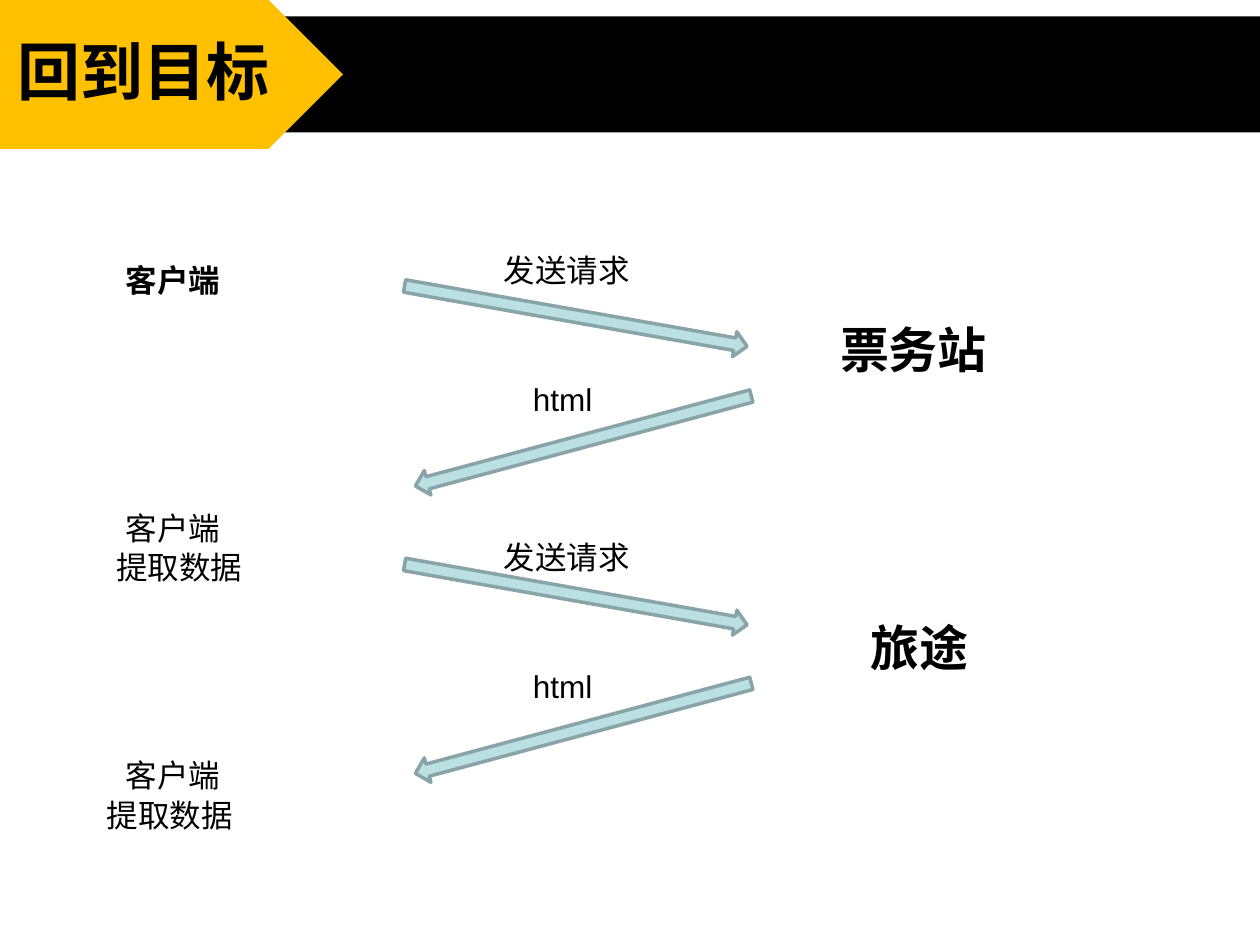
from dataclasses import dataclass

from lxml.etree import SubElement
from pptx import Presentation
from pptx.dml.color import RGBColor
from pptx.enum.lang import MSO_LANGUAGE_ID
from pptx.enum.shapes import MSO_SHAPE
from pptx.enum.text import MSO_AUTO_SIZE
from pptx.oxml.ns import qn
from pptx.util import Pt

CJK_FONT = "Noto Sans CJK SC"
BLACK, AMBER, AQUA, SLATE = "000000", "FFC000", "BBE0E3", "89A4A7"


@dataclass
class Label:
    text: str
    left: float
    top: float
    width: float
    height: float = 29
    size: float = 18
    bold: bool = False
    font: str = "Arial"


@dataclass
class Block:
    kind: MSO_SHAPE
    left: float
    top: float
    width: float
    height: float
    fill: str
    line: str = ""
    rotation: float = 0


def color(value: str) -> RGBColor:
    return RGBColor.from_string(value)


def add_block(slide, block: Block) -> None:
    sp = slide.shapes.add_shape(block.kind, Pt(block.left), Pt(block.top),
                                Pt(block.width), Pt(block.height))
    sp.shadow.inherit = False
    sp.rotation = block.rotation
    sp.fill.solid()
    sp.fill.fore_color.rgb = color(block.fill)
    if block.line:
        sp.line.color.rgb = color(block.line)
        sp.line.width = Pt(2)
    else:
        sp.line.fill.background()


def add_label(slide, label: Label) -> None:
    sp = slide.shapes.add_textbox(Pt(label.left), Pt(label.top),
                                  Pt(label.width), Pt(label.height))
    tf = sp.text_frame
    tf.word_wrap = True
    tf.auto_size = MSO_AUTO_SIZE.SHAPE_TO_FIT_TEXT
    p = tf.paragraphs[0]
    r = p.add_run()
    r.text = label.text
    r.font.name = label.font
    r.font.size = Pt(label.size)
    r.font.bold = label.bold
    r.font.color.rgb = color(BLACK)
    r.font.language_id = MSO_LANGUAGE_ID.SIMPLIFIED_CHINESE
    SubElement(r.font._element, qn("a:ea"), typeface=CJK_FONT)


def add_exchange(slide, request_top: float, reply_top: float, label_top: float) -> None:
    for left, top, rotation in ((229.7, request_top, 10), (234, reply_top, 165)):
        add_block(slide, Block(MSO_SHAPE.RIGHT_ARROW, left, top, 198.7, 14.4,
                               AQUA, SLATE, rotation))
    add_label(slide, Label("发送请求", 280.8, label_top, 89.3))
    add_label(slide, Label("html", 297.4, label_top + 73.8, 58.3))


BANNER = [
    Block(MSO_SHAPE.RECTANGLE, 127.4, 9.4, 592.6, 66.2, BLACK),
    Block(MSO_SHAPE.PENTAGON, 0, 0, 196, 85, AMBER),
]
LABELS = [
    Label("回到目标", 2.9, 15.1, 181.4, 50.4, 36, True, CJK_FONT),
    Label("票务站", 473, 179.3, 105.1, 41, 28, True),
    Label("旅途", 490.3, 349.2, 76.3, 41, 28, True),
    Label("客户端", 64.8, 145.4, 72, bold=True),
    Label("客户端", 64.8, 287.1, 69.4),
    Label("提取数据", 59.5, 309.6, 95.8),
    Label("客户端", 64.8, 428.6, 69.4),
    Label("提取数据", 54, 451.4, 95.8),
]

prs = Presentation()
prs.slide_width, prs.slide_height = Pt(720), Pt(540)
s = prs.slides.add_slide(prs.slide_layouts[6])
for block in BANNER:
    add_block(s, block)
for label in LABELS:
    add_label(s, label)
add_exchange(s, 173.5, 244.8, 139.7)
add_exchange(s, 332.6, 409, 303.8)
prs.save("out.pptx")
